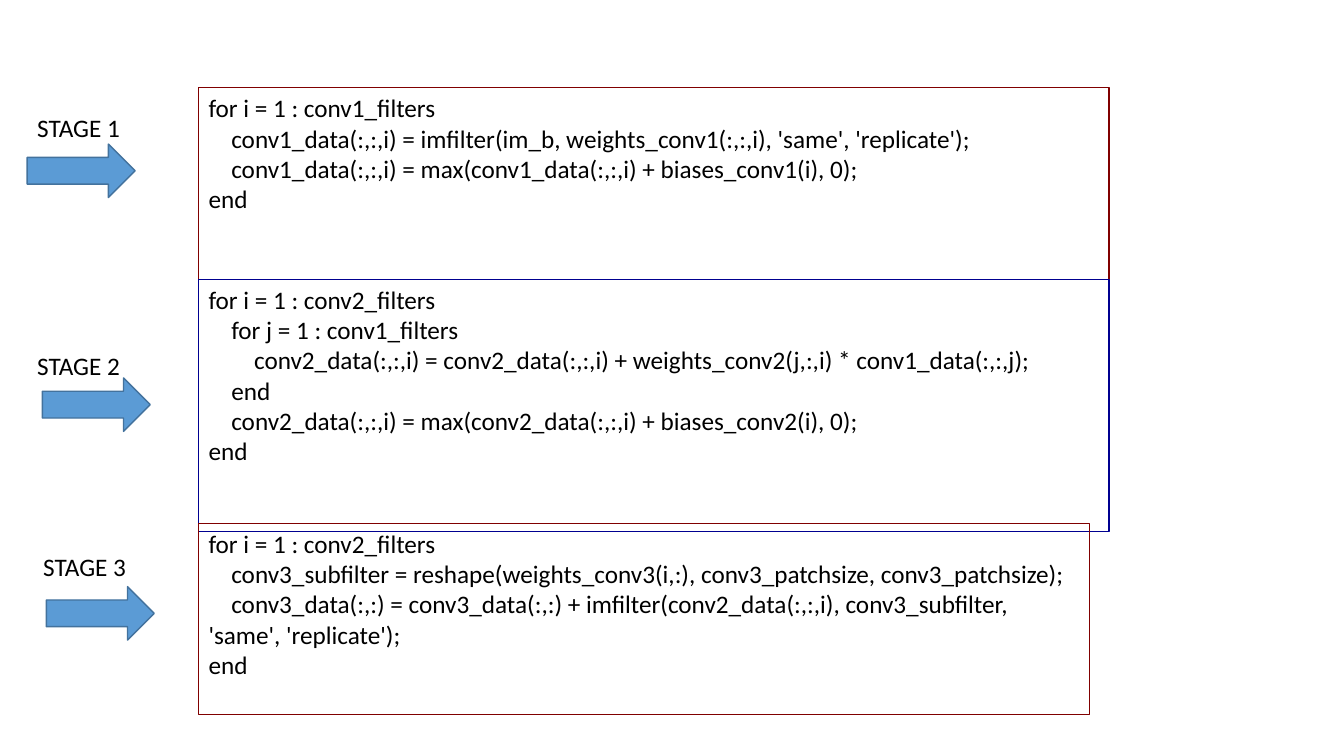
from pptx import Presentation
from pptx.dml.color import RGBColor
from pptx.enum.shapes import MSO_SHAPE
from pptx.enum.text import MSO_ANCHOR, PP_ALIGN
from pptx.util import Inches, Pt

RECTANGLE = MSO_SHAPE.RECTANGLE
RIGHT_ARROW = MSO_SHAPE.RIGHT_ARROW
TOP = MSO_ANCHOR.TOP
LEFT = PP_ALIGN.LEFT

BLACK = RGBColor(0x00, 0x00, 0x00)
MAROON = RGBColor(0x80, 0x00, 0x00)
NAVY = RGBColor(0x00, 0x00, 0x90)
ARROW_FILL = RGBColor(0x5B, 0x9B, 0xD5)
ARROW_LINE = RGBColor(0x43, 0x72, 0x9D)

INDENT = 0.226  # inches per code level
CODE_LEFT = 1.97

# Each code line is (level, text); boxes are (left, top, width, height),
# labels and arrows are (left, top).
STAGES = [
    {
        "name": "STAGE 1", "color": MAROON,
        "box": (CODE_LEFT, 0.87, 9.03, 1.9), "label": (0.27, 1.07), "arrow": (0.27, 1.43),
        "code": [
            (0, "for i = 1 : conv1_filters"),
            (1, "conv1_data(:,:,i) = imfilter(im_b, weights_conv1(:,:,i), 'same', 'replicate');"),
            (1, "conv1_data(:,:,i) = max(conv1_data(:,:,i) + biases_conv1(i), 0);"),
            (0, "end"),
        ],
    },
    {
        "name": "STAGE 2", "color": NAVY,
        "box": (CODE_LEFT, 2.77, 9.03, 2.5), "label": (0.27, 3.43), "arrow": (0.42, 3.75),
        "code": [
            (0, "for i = 1 : conv2_filters"),
            (1, "for j = 1 : conv1_filters"),
            (2, "conv2_data(:,:,i) = conv2_data(:,:,i) + weights_conv2(j,:,i) * conv1_data(:,:,j);"),
            (1, "end"),
            (1, "conv2_data(:,:,i) = max(conv2_data(:,:,i) + biases_conv2(i), 0);"),
            (0, "end"),
        ],
    },
    {
        "name": "STAGE 3", "color": MAROON,
        "box": (CODE_LEFT, 5.19, 8.84, 1.9), "label": (0.33, 5.42), "arrow": (0.46, 5.82),
        "code": [
            (0, "for i = 1 : conv2_filters"),
            (1, "conv3_subfilter = reshape(weights_conv3(i,:), conv3_patchsize, conv3_patchsize);"),
            (1, "conv3_data(:,:) = conv3_data(:,:) + imfilter(conv2_data(:,:,i), "
                "conv3_subfilter, 'same', 'replicate');"),
            (0, "end"),
        ],
    },
]


def write_lines(frame, lines):
    """Write one paragraph per (level, text), indenting only its first line."""
    frame.word_wrap = True
    frame.vertical_anchor = TOP
    for index, (level, text) in enumerate(lines):
        para = frame.paragraphs[0] if index == 0 else frame.add_paragraph()
        para.alignment = LEFT
        if level:
            properties = para._p.get_or_add_pPr()
            properties.set("marL", "0")
            properties.set("indent", str(Inches(level * INDENT)))
        span = para.add_run()
        span.text = text
        span.font.name = "Calibri"
        span.font.size = Pt(18)
        span.font.color.rgb = BLACK


def add_outlined(page, kind, bounds, line_color, line_width):
    shape = page.shapes.add_shape(kind, *map(Inches, bounds))
    shape.shadow.inherit = False
    shape.line.color.rgb = line_color
    shape.line.width = Pt(line_width)
    return shape


deck = Presentation()
deck.slide_width = Inches(13.33)
deck.slide_height = Inches(7.5)
page = deck.slides.add_slide(deck.slide_layouts[6])

for stage in STAGES:
    code_box = add_outlined(page, RECTANGLE, stage["box"], stage["color"], 0.75)
    code_box.fill.background()
    write_lines(code_box.text_frame, stage["code"])

for stage in STAGES:
    arrow = add_outlined(page, RIGHT_ARROW, (*stage["arrow"], 1.07, 0.53), ARROW_LINE, 1)
    arrow.fill.solid()
    arrow.fill.fore_color.rgb = ARROW_FILL

    label = page.shapes.add_textbox(*map(Inches, (*stage["label"], 1.64, 0.4)))
    write_lines(label.text_frame, [(0, stage["name"])])

deck.save("out.pptx")
